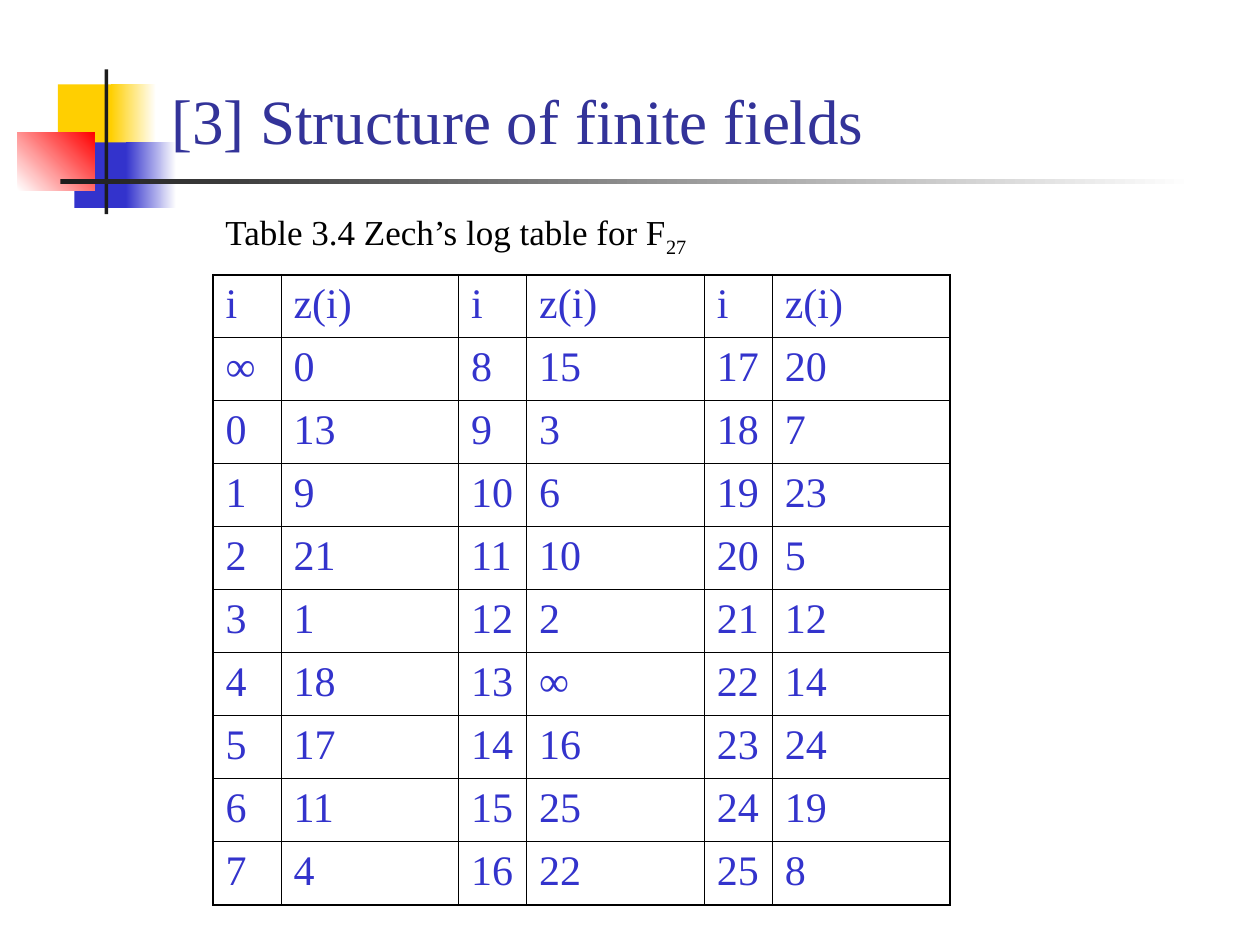
from lxml import etree
from pptx import Presentation
from pptx.dml.color import RGBColor
from pptx.enum import shapes, text
from pptx.oxml import ns
from pptx.util import Inches, Pt

# Content
TITLE = "[3] Structure of finite fields"
CAPTION, CAPTION_SUBSCRIPT = "Table 3.4 Zech’s log table for F", "27"
HEADER = ("i", "z(i)")
LOG_ARGUMENTS = ["∞", *range(26)]
ZECH_LOGS = [0, 13, 9, 21, 1, 18, 17, 11, 4,
             15, 3, 6, 10, 2, "∞", 16, 25, 22,
             20, 7, 23, 5, 12, 14, 24, 19, 8]
ROWS_PER_BLOCK = 9

THEME = {
    "font": "Times New Roman",
    "title": "333399", "table": "3333CC", "caption": "000000", "border": "000000",
    "yellow": "FFCF01", "blue": "3333CC", "red": "FF0000", "bar": "1C1C1C", "fade": "FFFFFF",
    "title_size": 36, "table_size": 24, "caption_size": 20,
    "outer_line": 1.08, "inner_line": 0.45,
}

# Corner ornament: left, top, width, height, colours (two make a gradient), angle
ORNAMENT = [
    (0.46, 0.67, 0.48, 0.52, ["yellow"], 0),
    (0.88, 0.67, 0.36, 0.52, ["yellow", "fade"], 0),
    (0.59, 1.13, 0.46, 0.52, ["blue"], 0),
    (1.00, 1.13, 0.40, 0.52, ["blue", "fade"], 0),
    (0.14, 1.05, 0.61, 0.46, ["fade", "red"], 45),
    (0.83, 0.55, 0.03, 1.15, ["bar"], 0),
    (0.48, 1.42, 9.00, 0.04, ["bar", "fade"], 0),
]

TITLE_BOX = (1.26, 0.23, 8.52, 1.07)
CAPTION_BOX = (1.69, 1.62, 4.49, 0.48)
TABLE_LEFT, TABLE_TOP = 1.69, 2.18
BLOCK_WIDTHS = (0.54, 1.41)
ROW_HEIGHT = 0.5


def color(name):
    return RGBColor.from_string(THEME[name])


def inches(box):
    return [Inches(length) for length in box]


def style_font(paragraph, role):
    font = paragraph.font
    font.name = THEME["font"]
    font.size = Pt(THEME[role + "_size"])
    font.color.rgb = color(role)


def add_ornament(slide):
    for *box, names, angle in ORNAMENT:
        shape = slide.shapes.add_shape(shapes.MSO_SHAPE.RECTANGLE, *inches(box))
        shape.shadow.inherit = False
        shape.line.fill.background()
        if len(names) == 1:
            shape.fill.solid()
            shape.fill.fore_color.rgb = color(names[0])
        else:
            shape.fill.gradient()
            shape.fill.gradient_angle = angle
            for stop, name in zip(shape.fill.gradient_stops, names):
                stop.color.rgb = color(name)


def add_title(slide):
    title = slide.shapes.title
    title.left, title.top, title.width, title.height = inches(TITLE_BOX)
    frame = title.text_frame
    frame.text = TITLE
    frame.vertical_anchor = text.MSO_ANCHOR.BOTTOM
    frame.auto_size = text.MSO_AUTO_SIZE.NONE
    frame.paragraphs[0].alignment = text.PP_ALIGN.LEFT
    style_font(frame.paragraphs[0], "title")
    # Bring the title in front of the ornament
    title.element.getparent().append(title.element)


def set_borders(cell, outer_sides):
    properties = cell._tc.get_or_add_tcPr()
    for index, side in enumerate("LRTB"):
        width = THEME["outer_line" if side in outer_sides else "inner_line"]
        line = etree.Element(ns.qn("a:ln" + side), w=str(Pt(width)))
        fill = etree.SubElement(line, ns.qn("a:solidFill"))
        etree.SubElement(fill, ns.qn("a:srgbClr"), val=THEME["border"])
        properties.insert(index, line)


def add_log_table(slide):
    # Split the pairs into blocks that stand side by side under repeated headers
    pairs = list(zip(LOG_ARGUMENTS, ZECH_LOGS))
    blocks = [[HEADER, *pairs[start:start + ROWS_PER_BLOCK]]
              for start in range(0, len(pairs), ROWS_PER_BLOCK)]
    rows = [[value for pair in row for value in pair] for row in zip(*blocks)]
    widths = BLOCK_WIDTHS * len(blocks)
    box = (TABLE_LEFT, TABLE_TOP, sum(widths), ROW_HEIGHT * len(rows))
    table = slide.shapes.add_table(len(rows), len(widths), *inches(box)).table
    table.first_row = table.horz_banding = False
    for column, width in zip(table.columns, widths):
        column.width = Inches(width)
    for r, row in enumerate(rows):
        for c, value in enumerate(row):
            cell = table.cell(r, c)
            cell.text = str(value)
            cell.fill.background()
            paragraph = cell.text_frame.paragraphs[0]
            paragraph.space_before = Pt(6)
            style_font(paragraph, "table")
            edges = {"L": c == 0, "R": c == len(widths) - 1,
                     "T": r == 0, "B": r == len(rows) - 1}
            set_borders(cell, [side for side, outer in edges.items() if outer])


def add_caption(slide):
    frame = slide.shapes.add_textbox(*inches(CAPTION_BOX)).text_frame
    frame.word_wrap = True
    frame.auto_size = text.MSO_AUTO_SIZE.SHAPE_TO_FIT_TEXT
    paragraph = frame.paragraphs[0]
    style_font(paragraph, "caption")
    paragraph.add_run().text = CAPTION
    subscript = paragraph.add_run()
    subscript.text = CAPTION_SUBSCRIPT
    subscript.font._element.set("baseline", "-25000")


def main():
    presentation = Presentation()
    presentation.slide_width, presentation.slide_height = Inches(10), Inches(7.5)
    slide = presentation.slides.add_slide(presentation.slide_layouts.get_by_name("Title Only"))
    add_ornament(slide)
    add_title(slide)
    add_log_table(slide)
    add_caption(slide)
    presentation.save("out.pptx")


if __name__ == "__main__":
    main()
